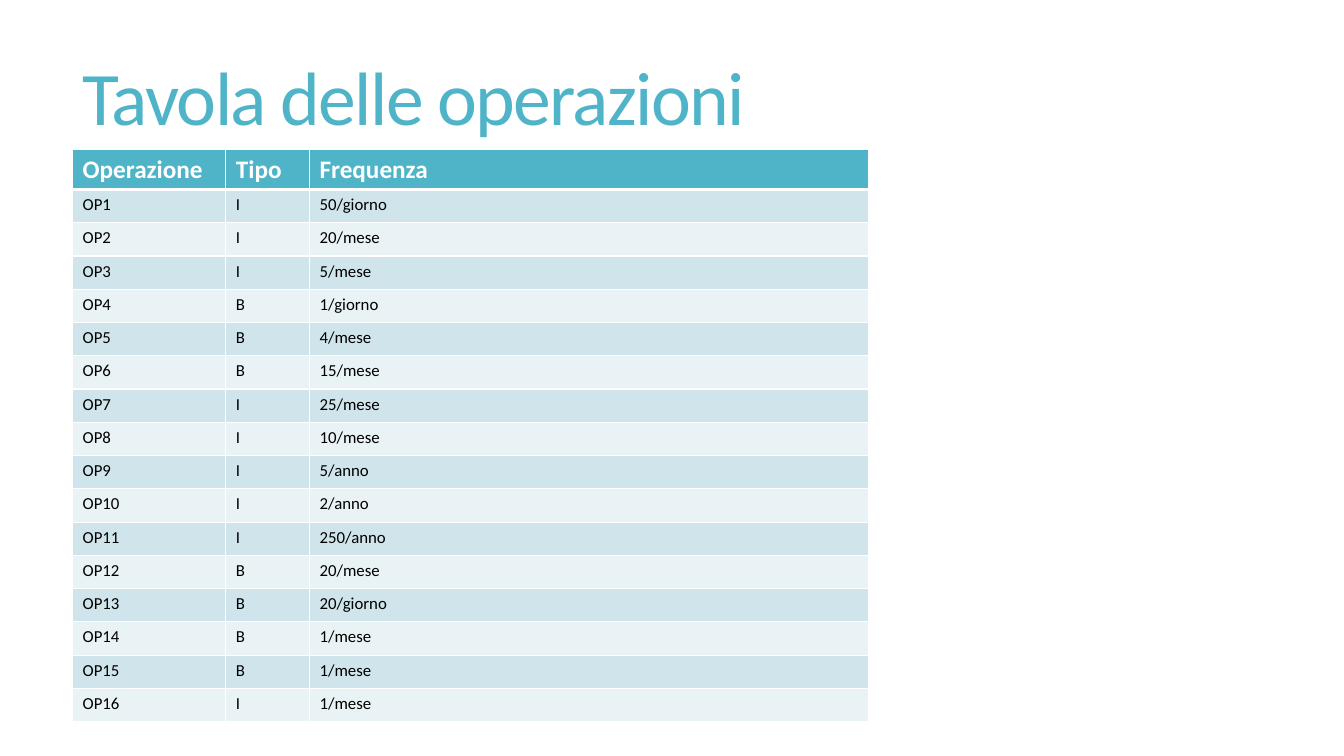
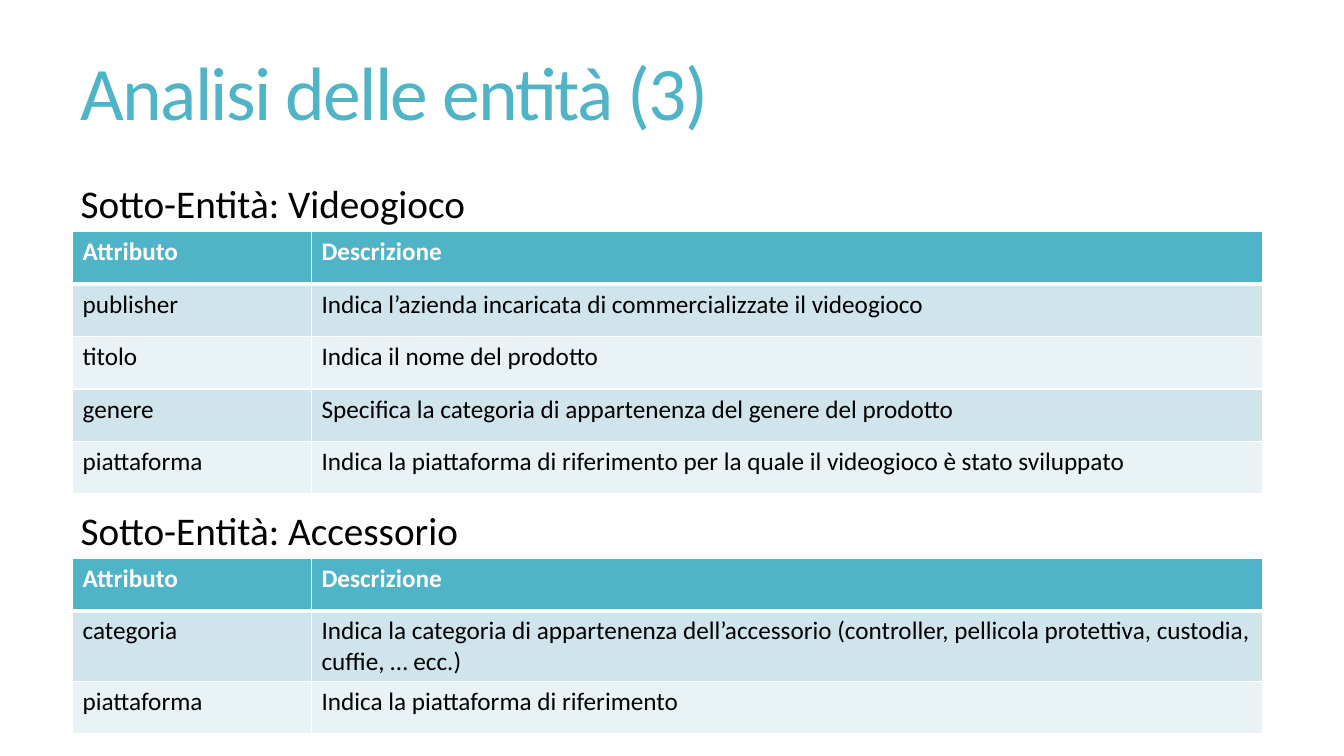
from dataclasses import dataclass

from lxml.etree import SubElement
from pptx import Presentation
from pptx.dml.color import RGBColor as RGB
from pptx.enum.text import MSO_ANCHOR as Anchor, MSO_AUTO_SIZE as AutoSize
from pptx.oxml.ns import qn
from pptx.util import Emu, Pt

EMU_PER_PX = 9144  # 100 px to the inch


def px(length):
    return Emu(length * EMU_PER_PX)


@dataclass(frozen=True)
class Theme:
    font: str = "Calibri"
    accent: str = "50B4C8"
    band_dark: str = "D0E5EB"
    band_light: str = "E9F2F5"
    ink: str = "000000"
    white: str = "FFFFFF"
    title_size: int = 54
    subtitle_size: int = 28
    table_size: int = 18
    small_size: int = 12
    title_tracking: int = -120
    title_line_spacing: float = 0.85
    thin: int = 1
    thick: int = 3


class Deck:
    """Holds the style and the slide being filled."""

    def __init__(self, theme):
        self.theme = theme
        self.presentation = Presentation()
        self.presentation.slide_width = px(1333)
        self.presentation.slide_height = px(750)
        self.slide = None

    def new_slide(self):
        blank = self.presentation.slide_layouts[6]
        self.slide = self.presentation.slides.add_slide(blank)

    def add_text(self, frame, text, size, color, bold=False):
        run = frame.paragraphs[0].add_run()
        run.text = text
        font_format = {"name": self.theme.font, "size": Pt(size), "bold": bold}
        for attribute, value in font_format.items():
            setattr(run.font, attribute, value)
        run.font.color.rgb = RGB.from_string(color)
        return run

    def text_frame(self, left, top, width, height, **frame_format):
        box = self.slide.shapes.add_textbox(*map(px, (left, top, width, height)))
        for attribute, value in frame_format.items():
            setattr(box.text_frame, attribute, value)
        return box.text_frame

    def title(self, text, left, top, height):
        theme = self.theme
        frame = self.text_frame(left, top, 1178, height, word_wrap=True,
                                vertical_anchor=Anchor.MIDDLE)
        run = self.add_text(frame, text, theme.title_size, theme.accent)
        run._r.get_or_add_rPr().set("spc", str(theme.title_tracking))
        frame.paragraphs[0].line_spacing = theme.title_line_spacing

    def subtitle(self, text, left, top, width):
        frame = self.text_frame(left, top, width, 57, word_wrap=False,
                                auto_size=AutoSize.SHAPE_TO_FIT_TEXT)
        self.add_text(frame, text, self.theme.subtitle_size, self.theme.ink)

    def borders(self, cell, row_index):
        """Thin white lines, with a thick one between header and body."""
        theme = self.theme
        thick_side = {0: "lnB", 1: "lnT"}.get(row_index)
        properties = cell._tc.get_or_add_tcPr()
        for side in ("lnL", "lnR", "lnT", "lnB"):
            weight = theme.thick if side == thick_side else theme.thin
            line = SubElement(properties, qn(f"a:{side}"), w=str(Pt(weight)))
            fill = SubElement(line, qn("a:solidFill"))
            SubElement(fill, qn("a:srgbClr"), val=theme.white)

    def table(self, top, column_widths, header_height, row_height, rows, body_size):
        theme = self.theme
        total_height = header_height + row_height * (len(rows) - 1)
        table = self.slide.shapes.add_table(
            len(rows), len(column_widths),
            *map(px, (72, top, sum(column_widths), total_height))).table
        table.horz_banding = False
        for column, width in zip(table.columns, column_widths):
            column.width = px(width)
        for row_index, values in enumerate(rows):
            is_header = row_index == 0
            table.rows[row_index].height = px(header_height if is_header else row_height)
            band = theme.band_dark if row_index % 2 else theme.band_light
            for cell, value in zip(table.rows[row_index].cells, values):
                self.borders(cell, row_index)
                cell.fill.solid()
                cell.fill.fore_color.rgb = RGB.from_string(theme.accent if is_header else band)
                self.add_text(cell.text_frame, value,
                              theme.table_size if is_header else body_size,
                              theme.white if is_header else theme.ink, is_header)


OPERATIONS = [
    ("I", "50/giorno"), ("I", "20/mese"), ("I", "5/mese"), ("B", "1/giorno"),
    ("B", "4/mese"), ("B", "15/mese"), ("I", "25/mese"), ("I", "10/mese"),
    ("I", "5/anno"), ("I", "2/anno"), ("I", "250/anno"), ("B", "20/mese"),
    ("B", "20/giorno"), ("B", "1/mese"), ("B", "1/mese"), ("I", "1/mese"),
]

# name, top, heading width, attributes
SUB_ENTITIES = [
    ("Videogioco", 173, 402, [
        ("publisher", "Indica l’azienda incaricata di commercializzate il videogioco"),
        ("titolo", "Indica il nome del prodotto"),
        ("genere", "Specifica la categoria di appartenenza del genere del prodotto"),
        ("piattaforma", "Indica la piattaforma di riferimento per la quale "
                        "il videogioco è stato sviluppato"),
    ]),
    ("Accessorio", 497, 395, [
        ("categoria", "Indica la categoria di appartenenza dell’accessorio "
                      "(controller, pellicola protettiva, custodia, cuffie, … ecc.)"),
        ("piattaforma", "Indica la piattaforma di riferimento"),
    ]),
]


def operations_slide(deck):
    deck.new_slide()
    deck.title("Tavola delle operazioni", 72, 55, 94)
    rows = [("Operazione", "Tipo", "Frequenza")]
    rows += [(f"OP{number}", kind, frequency)
             for number, (kind, frequency) in enumerate(OPERATIONS, 1)]
    deck.table(148, (152, 83, 555), 38, 33, rows, deck.theme.small_size)


def entities_slide(deck):
    deck.new_slide()
    deck.title("Analisi delle entità (3)", 70, 20, 153)
    for name, top, heading_width, attributes in SUB_ENTITIES:
        deck.subtitle(f"Sotto-Entità: {name}", 70, top, heading_width)
        deck.table(top + 57, (237, 943), 52, 52,
                   [("Attributo", "Descrizione"), *attributes], deck.theme.table_size)


def main():
    deck = Deck(Theme())
    operations_slide(deck)
    entities_slide(deck)
    deck.presentation.save("out.pptx")


if __name__ == "__main__":
    main()
